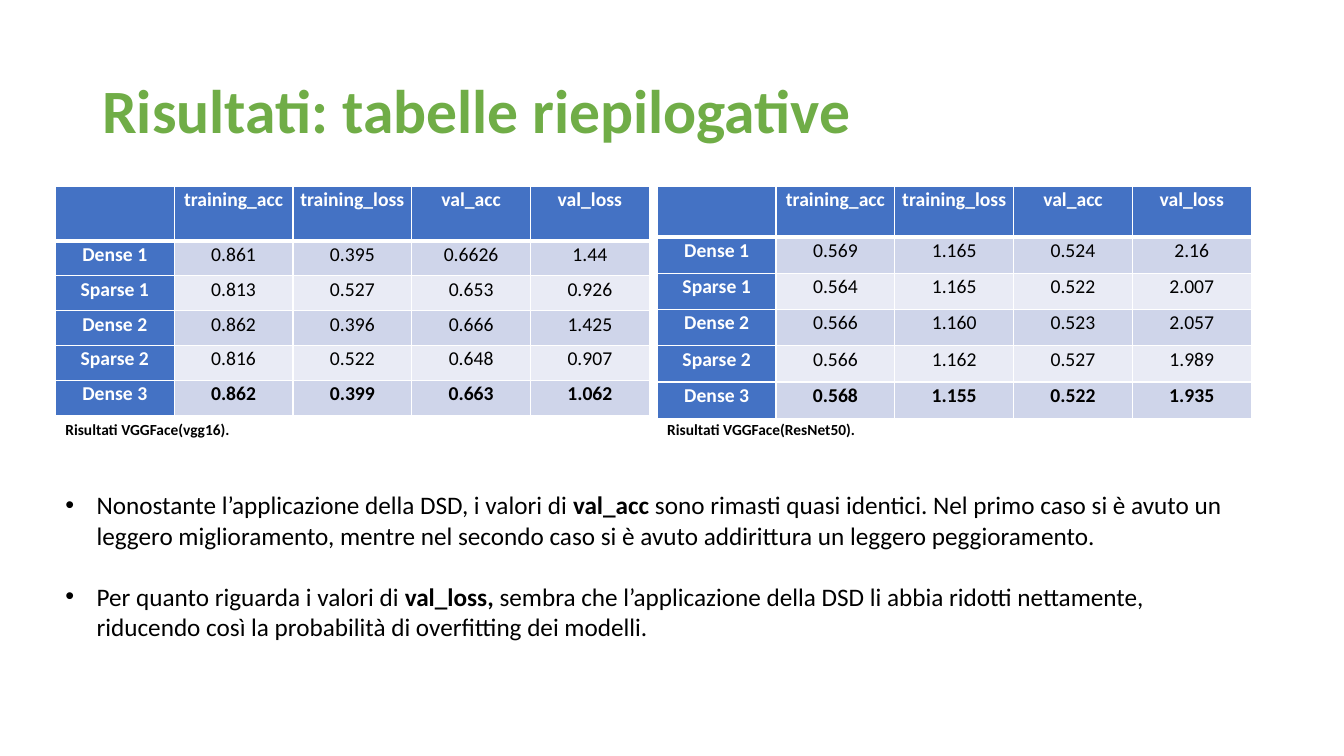
from dataclasses import dataclass

from lxml import etree
from pptx import Presentation
from pptx.dml.color import RGBColor
from pptx.enum.text import MSO_ANCHOR, PP_ALIGN
from pptx.oxml.ns import qn
from pptx.util import Inches, Pt

CENTER, LEFT = PP_ALIGN.CENTER, PP_ALIGN.LEFT
TOP, MIDDLE = MSO_ANCHOR.TOP, MSO_ANCHOR.MIDDLE


@dataclass(frozen=True)
class Theme:
    font: str = "Calibri"
    title: str = "70AD47"
    ink: str = "000000"
    white: str = "FFFFFF"
    header: str = "4472C4"
    bands: tuple = ("CFD5EA", "E9EBF5")
    title_size: int = 44
    body_size: int = 18
    cell_size: int = 14
    caption_size: int = 11


class Board:
    """Places styled elements on a slide with a grid of 160 by 90 units."""

    COLUMNS, ROWS = 160, 90

    def __init__(self, deck, theme):
        self.theme = theme
        self.page = deck.slides.add_slide(deck.slide_layouts[6])
        self.column = deck.slide_width / self.COLUMNS
        self.row = deck.slide_height / self.ROWS

    def across(self, columns):
        return round(columns * self.column)

    def down(self, rows):
        return round(rows * self.row)

    def area(self, left, top, width, height):
        return self.across(left), self.down(top), self.across(width), self.down(height)

    def span(self, para, text, size, color, bold=False):
        span = para.add_run()
        span.text = text
        span.font.name = self.theme.font
        span.font.size = Pt(size)
        span.font.bold = bold
        span.font.color.rgb = RGBColor.from_string(color)

    def text(self, area, paragraphs, size, color, anchor=TOP, spacing=1.0,
             bullet=False, gap=0):
        """Each paragraph is a list of (text, bold) pairs."""
        frame = self.page.shapes.add_textbox(*self.area(*area)).text_frame
        frame.word_wrap = True
        frame.vertical_anchor = anchor
        for index, spans in enumerate(paragraphs):
            para = frame.add_paragraph() if index else frame.paragraphs[0]
            para.alignment = LEFT
            para.line_spacing = spacing
            if index:
                para.space_before = Pt(gap)
            if bullet:
                self.bullet(para)
            for text, bold in spans:
                self.span(para, text, size, color, bold)

    def bullet(self, para):
        properties = para._p.get_or_add_pPr()
        properties.set("marL", str(Inches(0.31)))
        properties.set("indent", str(-Inches(0.31)))
        etree.SubElement(properties, qn("a:buFont"), typeface="Arial")
        etree.SubElement(properties, qn("a:buChar"), char="•")

    def borders(self, cell, top, bottom):
        properties = cell._tc.get_or_add_tcPr()
        sides = (("L", 1), ("R", 1), ("T", top), ("B", bottom))
        for index, (side, width) in enumerate(sides):
            line = etree.Element(qn(f"a:ln{side}"), w=str(Pt(width)))
            fill = etree.SubElement(line, qn("a:solidFill"))
            etree.SubElement(fill, qn("a:srgbClr"), val=self.theme.white)
            properties.insert(index, line)

    def cell(self, cell, text, row, column, last):
        theme = self.theme
        heading = row == 0 or column == 0
        fill = theme.header if heading else theme.bands[(row - 1) % 2]
        cell.fill.solid()
        cell.fill.fore_color.rgb = RGBColor.from_string(fill)
        cell.margin_left = cell.margin_right = Inches(0.07)
        cell.margin_top = cell.margin_bottom = 0
        self.borders(cell, 3 if row == 1 else 1, 3 if row == 0 else 1)
        para = cell.text_frame.paragraphs[0]
        para.alignment = CENTER
        para.line_spacing = 1.07
        if text:
            color = theme.white if heading else theme.ink
            self.span(para, text, theme.cell_size, color, heading or last)

    def table(self, area, values, header_height, row_height):
        shape = self.page.shapes.add_table(
            len(values), len(values[0]), *self.area(*area))
        table = shape.table
        for column in table.columns:
            column.width = self.across(area[2] / len(values[0]))
        for index, row in enumerate(table.rows):
            row.height = self.down(row_height if index else header_height)
        for row, record in enumerate(values):
            for column, text in enumerate(record):
                self.cell(table.cell(row, column), text, row, column,
                          row == len(values) - 1)


METRICS = ("", "training_acc", "training_loss", "val_acc", "val_loss")
PHASES = ("Dense 1", "Sparse 1", "Dense 2", "Sparse 2", "Dense 3")
VGG16 = (
    ("0.861", "0.395", "0.6626", "1.44"),
    ("0.813", "0.527", "0.653", "0.926"),
    ("0.862", "0.396", "0.666", "1.425"),
    ("0.816", "0.522", "0.648", "0.907"),
    ("0.862", "0.399", "0.663", "1.062"),
)
RESNET50 = (
    ("0.569", "1.165", "0.524", "2.16"),
    ("0.564", "1.165", "0.522", "2.007"),
    ("0.566", "1.160", "0.523", "2.057"),
    ("0.566", "1.162", "0.527", "1.989"),
    ("0.568", "1.155", "0.522", "1.935"),
)
# Caption, results, left edge, header height and row height in grid units
RESULTS = (
    ("Risultati VGGFace(vgg16).", VGG16, 6.6, 6.48, 4.16),
    ("Risultati VGGFace(ResNet50).", RESNET50, 78.25, 6.0, 4.32),
)
FINDINGS = (
    (("Nonostante l’applicazione della DSD, i valori di ", False),
     ("val_acc ", True),
     ("sono rimasti quasi identici. Nel primo caso si è avuto un leggero "
      "miglioramento, mentre nel secondo caso si è avuto addirittura un "
      "leggero peggioramento.", False)),
    (("Per quanto riguarda i valori di ", False),
     ("val_loss, ", True),
     ("sembra che l’applicazione della DSD li abbia ridotti nettamente, "
      "riducendo così la probabilità di overfitting dei modelli.", False)),
)


def main():
    deck = Presentation()
    deck.slide_width, deck.slide_height = Inches(13.33), Inches(7.5)
    theme = Theme()
    board = Board(deck, theme)

    # Title
    board.text((11, 4.8, 138, 17.4), [[("Risultati: tabelle riepilogative", True)]],
               theme.title_size, theme.title, anchor=MIDDLE, spacing=0.9)

    # Result tables with their captions
    for caption, results, left, header_height, row_height in RESULTS:
        values = [METRICS] + [(phase, *row) for phase, row in zip(PHASES, results)]
        board.table((left, 22.2, 70.7, 27.24), values, header_height, row_height)
        board.text((left, 49.44, 70.7, 3.48), [[(caption, True)]],
                   theme.caption_size, theme.ink)

    # Findings
    board.text((6.6, 57.72, 142.5, 19.44), FINDINGS, theme.body_size, theme.ink,
               bullet=True, gap=22)

    deck.save("out.pptx")


if __name__ == "__main__":
    main()
